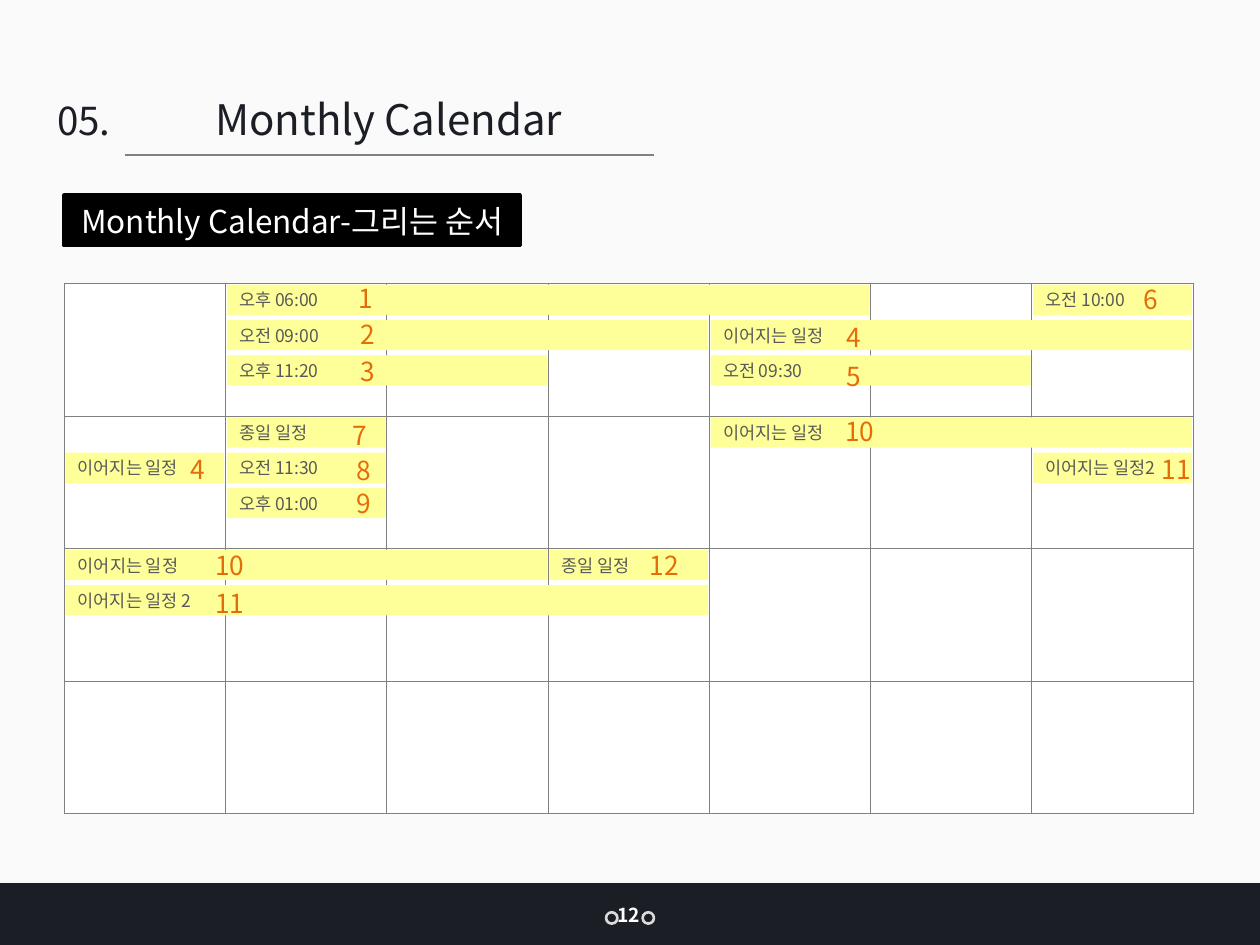
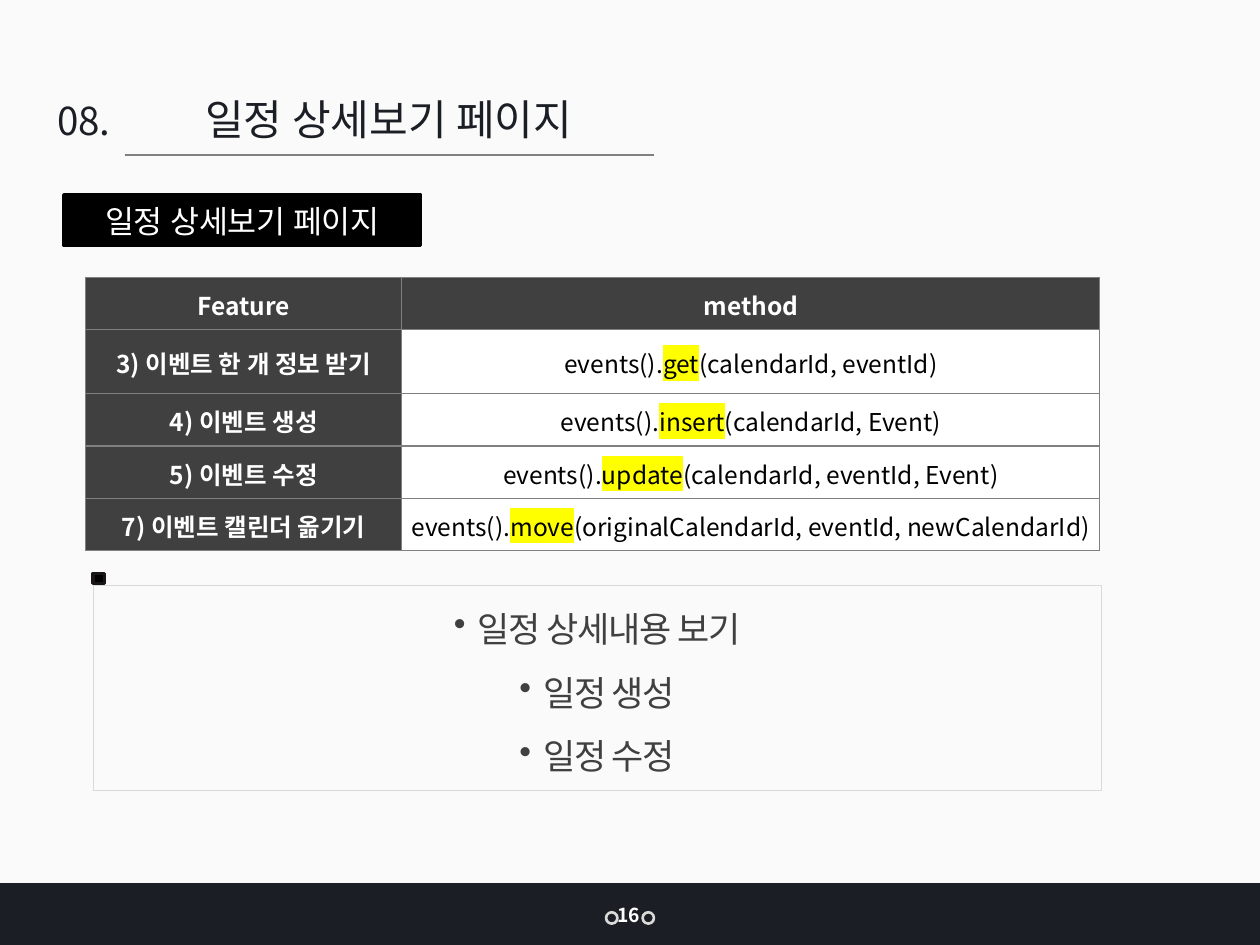
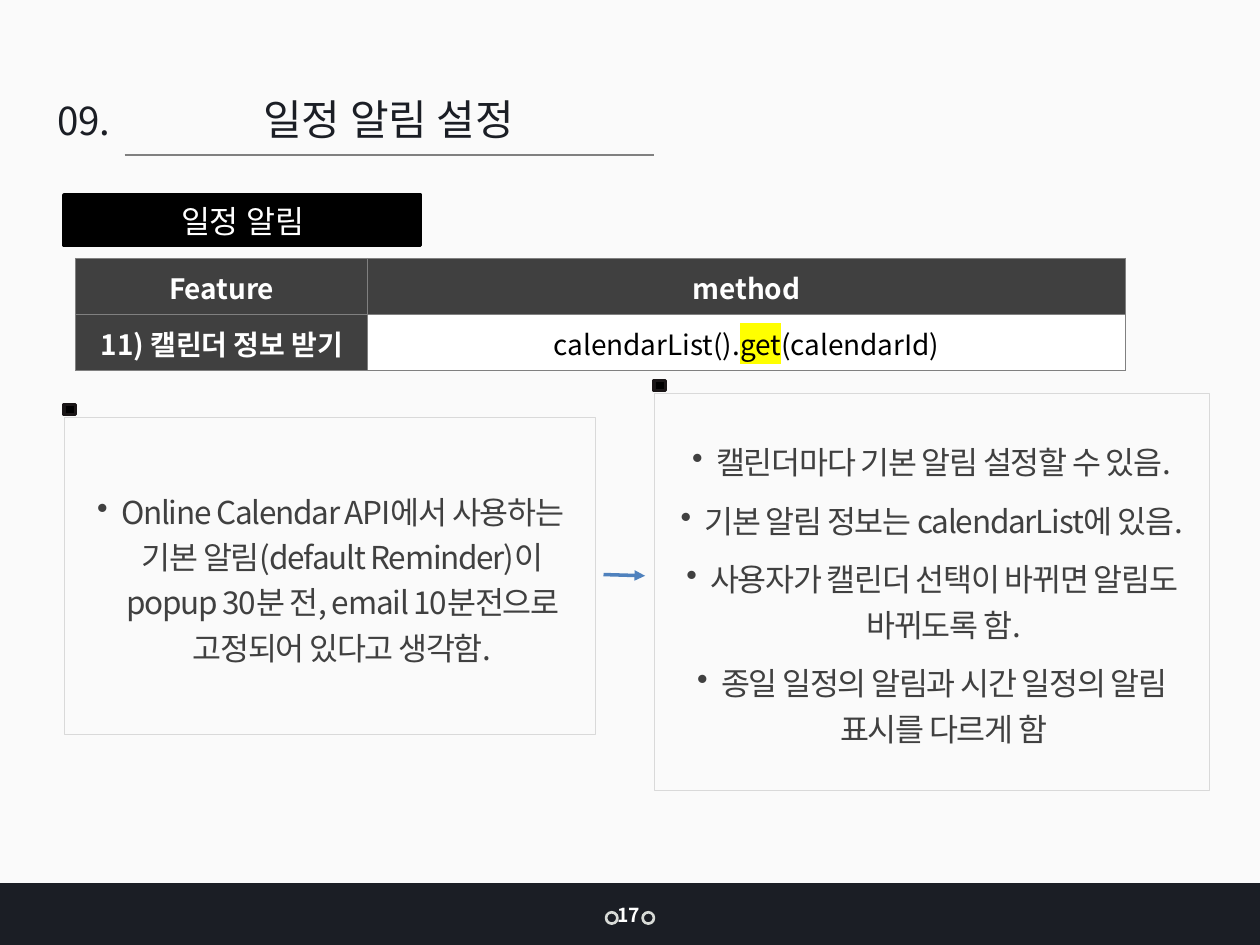
from dataclasses import dataclass
from typing import NamedTuple, Optional, Union

from lxml.etree import SubElement
from pptx import Presentation
from pptx.dml.color import RGBColor
from pptx.enum.shapes import MSO_CONNECTOR, MSO_SHAPE
from pptx.enum.text import MSO_ANCHOR, MSO_AUTO_SIZE, PP_ALIGN
from pptx.oxml.ns import qn
from pptx.shapes.autoshape import Shape
from pptx.shapes.connector import Connector
from pptx.shapes.shapetree import GroupShapes, SlideShapes
from pptx.slide import Slide
from pptx.table import Table, _Cell as Cell
from pptx.text.text import _Paragraph as Paragraph, _Run as Run
from pptx.util import Inches, Pt

FONT = "Noto Sans CJK KR"
PAPER = RGBColor(0xFA, 0xFA, 0xFA)
NAVY = RGBColor(0x1B, 0x1E, 0x25)
BLACK = RGBColor(0x00, 0x00, 0x00)
WHITE = RGBColor(0xFF, 0xFF, 0xFF)
GRAY = RGBColor(0x80, 0x80, 0x80)
DARK_GRAY = RGBColor(0x40, 0x40, 0x40)
TEXT_GRAY = RGBColor(0x59, 0x59, 0x59)
PALE_GRAY = RGBColor(0xD9, 0xD9, 0xD9)
RING = RGBColor(0xD8, 0xDB, 0xD7)
MARKER_EDGE = RGBColor(0x1A, 0x16, 0x17)
EVENT_YELLOW = RGBColor(0xFF, 0xFF, 0x99)
HIGHLIGHT = RGBColor(0xFF, 0xFF, 0x00)
ORANGE = RGBColor(0xE4, 0x6C, 0x0A)
ARROW_BLUE = RGBColor(0x4F, 0x81, 0xBD)

Shapes = Union[SlideShapes, GroupShapes]


class Box(NamedTuple):
    left: float
    top: float
    width: float
    height: float


class Stroke(NamedTuple):
    color: RGBColor
    width: float


class Style(NamedTuple):
    size: float
    color: RGBColor
    bold: bool = False


class Method(NamedTuple):
    feature: str
    before: str
    name: str
    arguments: str


@dataclass(frozen=True)
class Event:
    label: str
    number: int
    week: int
    slot: int
    day: int
    days: int
    number_left: float
    number_top: float


CALENDAR = Box(0.51, 2.25, 8.96, 4.21)
WEEKS, DAYS = 4, 7
DAY_WIDTH = CALENDAR.width / DAYS
WEEK_HEIGHT = CALENDAR.height / WEEKS
SLOT_STEP = 0.28

EVENTS = [
    Event("오후 06:00", 1, 0, 0, 1, 4, 2.75, 2.19),
    Event("오전 09:00", 2, 0, 1, 1, 3, 2.76, 2.48),
    Event("오후 11:20", 3, 0, 2, 1, 2, 2.76, 2.77),
    Event("이어지는 일정", 4, 0, 1, 4, 3, 6.62, 2.5),
    Event("오전 09:30", 5, 0, 2, 4, 2, 6.62, 2.81),
    Event("오전 10:00", 6, 0, 0, 6, 1, 8.98, 2.2),
    Event("이어지는 일정", 4, 1, 1, 0, 1, 1.41, 3.55),
    Event("종일 일정", 7, 1, 0, 1, 1, 2.7, 3.28),
    Event("오전 11:30", 8, 1, 1, 1, 1, 2.73, 3.56),
    Event("오후 01:00", 9, 1, 2, 1, 1, 2.73, 3.82),
    Event("이어지는 일정", 10, 1, 0, 4, 3, 6.61, 3.25),
    Event("이어지는 일정2", 11, 1, 1, 6, 1, 9.12, 3.55),
    Event("이어지는 일정", 10, 2, 0, 0, 3, 1.61, 4.31),
    Event("이어지는 일정 2", 11, 2, 1, 0, 4, 1.61, 4.61),
    Event("종일 일정", 12, 2, 0, 3, 1, 5.06, 4.31),
]

EVENT_METHODS = [
    Method("3) 이벤트 한 개 정보 받기", "events().", "get", "(calendarId, eventId)"),
    Method("4) 이벤트 생성", "events().", "insert", "(calendarId, Event)"),
    Method("5) 이벤트 수정", "events().", "update", "(calendarId, eventId, Event)"),
    Method("7) 이벤트 캘린더 옮기기", "events().", "move",
           "(originalCalendarId, eventId, newCalendarId)"),
]
REMINDER_METHODS = [
    Method("11) 캘린더 정보 받기", "calendarList().", "get", "(calendarId)"),
]

DETAIL_NOTES = ["일정 상세내용 보기", "일정 생성", "일정 수정"]
ASSUMPTION_NOTES = [
    "Online Calendar API에서 사용하는 기본 알림(default Reminder)이 "
    "popup 30분 전, email 10분전으로 고정되어 있다고 생각함.",
]
REMINDER_NOTES = [
    "캘린더마다 기본 알림 설정할 수 있음.",
    "기본 알림 정보는 calendarList에 있음.",
    "사용자가 캘린더 선택이 바뀌면 알림도 바뀌도록 함.",
    "종일 일정의 알림과 시간 일정의 알림 표시를 다르게 함",
]


def emu(box: Box) -> list[int]:
    return [Inches(value) for value in box]


def style_run(r: Run, style: Style) -> None:
    """Apply the style with the deck font for both Latin and Korean text."""
    r.font.size = Pt(style.size)
    r.font.bold = style.bold
    r.font.color.rgb = style.color
    r.font.name = FONT
    SubElement(r._r.get_or_add_rPr(), qn("a:ea"), typeface=FONT)


def style_paragraph(p: Paragraph, style: Style,
                    align: PP_ALIGN = PP_ALIGN.LEFT) -> None:
    p.alignment = align
    for r in p.runs:
        style_run(r, style)


def highlight(r: Run) -> None:
    latin = r._r.get_or_add_rPr().find(qn("a:latin"))
    mark = SubElement(latin.getparent(), qn("a:highlight"))
    SubElement(mark, qn("a:srgbClr"), val=str(HIGHLIGHT))
    latin.addprevious(mark)


def add_box(shapes: Shapes, box: Box, fill: Optional[RGBColor] = None,
            stroke: Optional[Stroke] = None,
            kind: MSO_SHAPE = MSO_SHAPE.RECTANGLE) -> Shape:
    sp = shapes.add_shape(kind, *emu(box))
    sp.shadow.inherit = False
    if fill is None:
        sp.fill.background()
    else:
        sp.fill.solid()
        sp.fill.fore_color.rgb = fill
    if stroke is None:
        sp.line.fill.background()
    else:
        sp.line.color.rgb = stroke.color
        sp.line.width = Pt(stroke.width)
    return sp


def add_text(shapes: Shapes, box: Box, text: str, style: Style,
             align: PP_ALIGN = PP_ALIGN.LEFT, wrap: bool = True) -> None:
    tf = shapes.add_textbox(*emu(box)).text_frame
    tf.text = text
    tf.word_wrap = wrap
    tf.auto_size = MSO_AUTO_SIZE.SHAPE_TO_FIT_TEXT
    style_paragraph(tf.paragraphs[0], style, align)


def add_line(slide: Slide, start: tuple[float, float],
             end: tuple[float, float], stroke: Stroke) -> Connector:
    line = slide.shapes.add_connector(
        MSO_CONNECTOR.STRAIGHT, *map(Inches, (*start, *end)))
    line.line.color.rgb = stroke.color
    line.line.width = Pt(stroke.width)
    SubElement(line._element.spPr, qn("a:effectLst"))
    return line


def add_arrow(slide: Slide, start: tuple[float, float],
              end: tuple[float, float], stroke: Stroke) -> None:
    arrow = add_line(slide, start, end, stroke)
    SubElement(arrow.line._get_or_add_ln(), qn("a:tailEnd"), type="triangle")


def add_heading(slide: Slide, number: str, title: str) -> None:
    add_text(slide.shapes, Box(0.7, 0.69, 4.77, 0.5), title,
             Style(24, NAVY), PP_ALIGN.CENTER)
    add_line(slide, (0.99, 1.23), (5.19, 1.23), Stroke(GRAY, 0.75))
    add_text(slide.shapes, Box(0.3, 0.72, 0.8, 0.47), f"{number}. ",
             Style(22, NAVY), PP_ALIGN.CENTER)


def add_section_label(slide: Slide, text: str, width: float) -> None:
    sp = add_box(slide.shapes, Box(0.51, 1.55, width, 0.4), BLACK, Stroke(BLACK, 2))
    tf = sp.text_frame
    tf.text = text
    tf.word_wrap = True
    tf.auto_size = MSO_AUTO_SIZE.SHAPE_TO_FIT_TEXT
    style_paragraph(tf.paragraphs[0], Style(18, WHITE), PP_ALIGN.CENTER)


def add_footer(slide: Slide, page: int) -> None:
    add_box(slide.shapes, Box(0, 7.01, 10, 0.49), NAVY)
    dots = slide.shapes.add_group_shape()
    for left in (4.81, 5.1):
        add_box(dots.shapes, Box(left, 7.24, 0.09, 0.09), NAVY,
                Stroke(RING, 1.5), MSO_SHAPE.OVAL)
    add_text(slide.shapes, Box(4.8, 7.12, 0.39, 0.29), str(page),
             Style(11, WHITE, True), wrap=False)


def add_page(prs: Presentation, page: int, number: str, title: str,
             label: str, label_width: float = 2.83) -> Slide:
    slide = prs.slides.add_slide(prs.slide_layouts[6])
    add_heading(slide, number, title)
    add_section_label(slide, label, label_width)
    add_footer(slide, page)
    return slide


def format_cell(cell: Cell, fill: RGBColor, border: Stroke) -> None:
    tc_pr = cell._tc.get_or_add_tcPr()
    for side in ("a:lnL", "a:lnR", "a:lnT", "a:lnB"):
        ln = SubElement(tc_pr, qn(side), w=str(Pt(border.width)))
        solid = SubElement(ln, qn("a:solidFill"))
        SubElement(solid, qn("a:srgbClr"), val=str(border.color))
    cell.fill.solid()
    cell.fill.fore_color.rgb = fill


def add_grid(slide: Slide, box: Box, widths: list[float],
             heights: list[float]) -> Table:
    table = slide.shapes.add_table(len(heights), len(widths), *emu(box)).table
    table.first_row = table.horz_banding = False
    for column, width in zip(table.columns, widths):
        column.width = Inches(width)
    for row, height in zip(table.rows, heights):
        row.height = Inches(height)
    return table


def add_calendar(slide: Slide) -> None:
    table = add_grid(slide, CALENDAR, [DAY_WIDTH] * DAYS, [WEEK_HEIGHT] * WEEKS)
    for cell in table.iter_cells():
        format_cell(cell, WHITE, Stroke(GRAY, 0.5))


def add_event(slide: Slide, event: Event) -> None:
    shapes = slide.shapes.add_group_shape().shapes
    bar = add_box(shapes, Box(
        CALENDAR.left + event.day * DAY_WIDTH + 0.01,
        CALENDAR.top + event.week * WEEK_HEIGHT + event.slot * SLOT_STEP + 0.01,
        event.days * DAY_WIDTH - 0.02, 0.24), EVENT_YELLOW)
    tf = bar.text_frame
    tf.text = event.label
    tf.word_wrap = True
    tf.vertical_anchor = MSO_ANCHOR.MIDDLE
    style_paragraph(tf.paragraphs[0], Style(10, TEXT_GRAY))
    width = 0.32 if event.number < 10 else 0.43
    add_text(shapes, Box(event.number_left, event.number_top, width, 0.35),
             str(event.number), Style(15, ORANGE), wrap=False)


def fill_method_cell(cell: Cell, parts: list[str], style: Style,
                     fill: RGBColor) -> None:
    """Write the parts as runs; the second part, if any, is highlighted."""
    format_cell(cell, fill, Stroke(GRAY, 0.75))
    cell.vertical_anchor = MSO_ANCHOR.MIDDLE
    cell.margin_left = cell.margin_right = Inches(0.07)
    cell.margin_top = cell.margin_bottom = 0
    p = cell.text_frame.paragraphs[0]
    p.line_spacing = 1.07
    for part in parts:
        p.add_run().text = part
    style_paragraph(p, style, PP_ALIGN.CENTER)
    for r in p.runs[1:2]:
        highlight(r)


def add_method_table(slide: Slide, box: Box, feature_width: float,
                     heights: list[float], methods: list[Method],
                     size: float) -> None:
    table = add_grid(slide, box, [feature_width, box.width - feature_width], heights)
    dark = Style(size, WHITE, True)
    for column, name in enumerate(("Feature", "method")):
        fill_method_cell(table.cell(0, column), [name], dark, DARK_GRAY)
    for row, method in enumerate(methods, start=1):
        feature, *call = method
        fill_method_cell(table.cell(row, 0), [feature], dark, DARK_GRAY)
        fill_method_cell(table.cell(row, 1), call, Style(size, BLACK), WHITE)


def add_notes_box(slide: Slide, box: Box, notes: list[str], size: float) -> None:
    """Draw a bulleted frame with a small square on its top left corner."""
    tf = add_box(slide.shapes, box, stroke=Stroke(PALE_GRAY, 0.5)).text_frame
    tf.text = "\n".join(notes)
    tf.word_wrap = True
    tf.vertical_anchor = MSO_ANCHOR.MIDDLE
    tf.margin_left = tf.margin_right = Inches(0.16)
    for p in tf.paragraphs:
        p.line_spacing = 1.2
        p.space_before = Pt(7.5)
        style_paragraph(p, Style(size, DARK_GRAY), PP_ALIGN.CENTER)
        for r in p.runs:
            r._r.get_or_add_rPr().set("spc", "-70")
        p_pr = p._p.get_or_add_pPr()
        p_pr.set("marL", str(Inches(0.19)))
        p_pr.set("indent", str(Inches(-0.19)))
        SubElement(p_pr, qn("a:buChar"), char="•")
    add_box(slide.shapes, Box(box.left, box.top - 0.1, 0.09, 0.08),
            BLACK, Stroke(MARKER_EDGE, 2))


def add_calendar_slide(prs: Presentation) -> None:
    slide = add_page(prs, 12, "05", "Monthly Calendar",
                     "Monthly Calendar-그리는 순서", 3.62)
    add_calendar(slide)
    for event in EVENTS:
        add_event(slide, event)


def add_detail_slide(prs: Presentation) -> None:
    title = "일정 상세보기 페이지"
    slide = add_page(prs, 16, "08", title, title)
    add_notes_box(slide, Box(0.74, 4.65, 8, 1.62), DETAIL_NOTES, 20)
    box = Box(0.68, 2.2, 8.05, 2.17)
    tall = 0.51
    low = (box.height - tall) / 4
    add_method_table(slide, box, 2.51, [low, tall, low, low, low],
                     EVENT_METHODS, 14)


def add_reminder_slide(prs: Presentation) -> None:
    slide = add_page(prs, 17, "09", "일정 알림 설정", "일정 알림")
    add_notes_box(slide, Box(0.51, 3.31, 4.22, 2.52), ASSUMPTION_NOTES, 18)
    add_notes_box(slide, Box(5.19, 3.12, 4.41, 3.15), REMINDER_NOTES, 18)
    box = Box(0.6, 2.05, 8.33, 0.89)
    add_method_table(slide, box, 2.32, [box.height / 2] * 2, REMINDER_METHODS, 16)
    add_arrow(slide, (4.79, 4.56), (5.12, 4.57), Stroke(ARROW_BLUE, 2))


def main() -> None:
    prs = Presentation()
    prs.slide_width, prs.slide_height = Inches(10), Inches(7.5)
    background = prs.slide_master.background.fill
    background.solid()
    background.fore_color.rgb = PAPER
    add_calendar_slide(prs)
    add_detail_slide(prs)
    add_reminder_slide(prs)
    prs.save("out.pptx")


if __name__ == "__main__":
    main()
